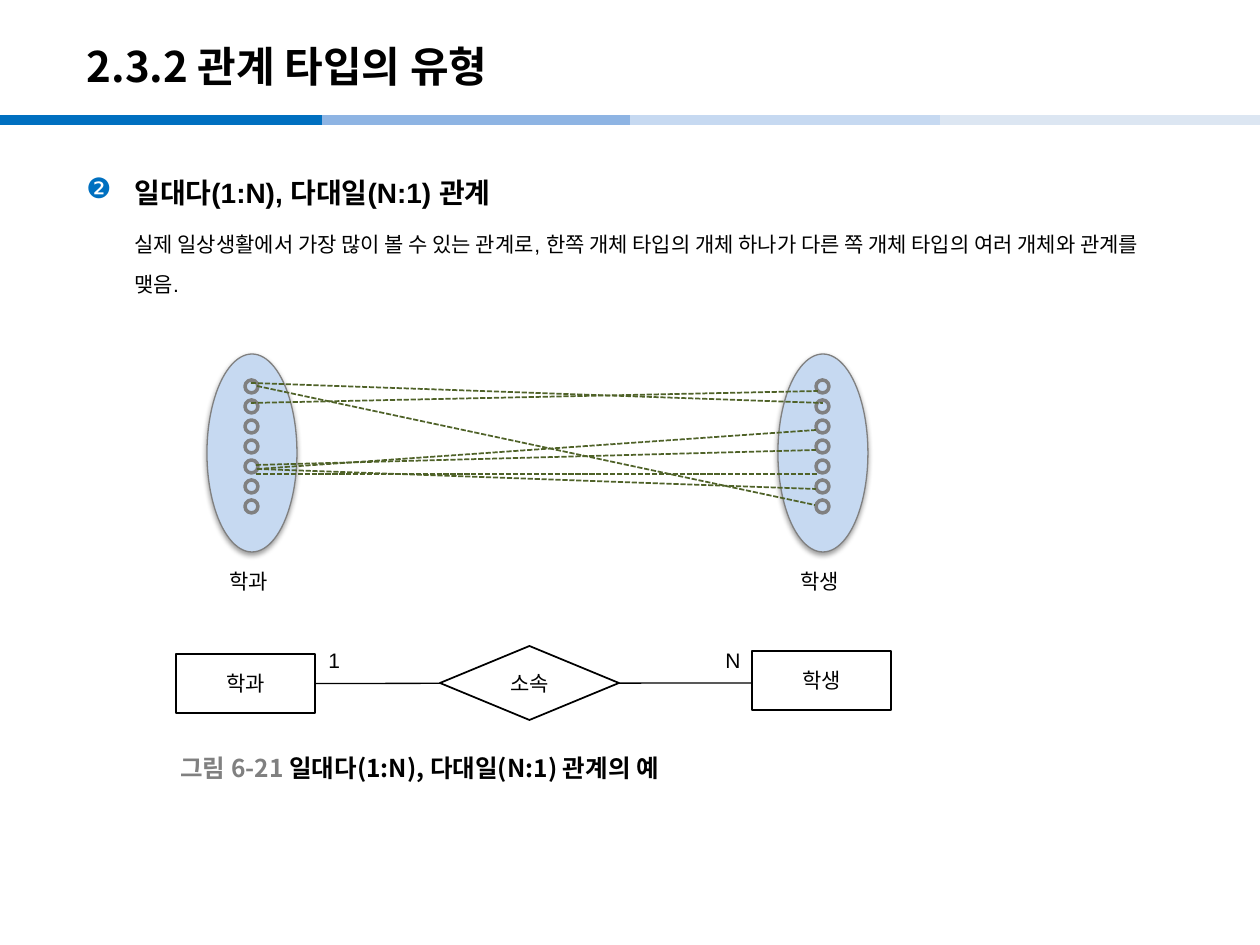
from lxml.etree import SubElement
from pptx import Presentation
from pptx.dml.color import RGBColor
from pptx.enum.dml import MSO_LINE
from pptx.enum.shapes import MSO_CONNECTOR, MSO_SHAPE
from pptx.enum.text import MSO_ANCHOR, MSO_AUTO_SIZE, PP_ALIGN
from pptx.oxml.ns import qn
from pptx.util import Pt

SCALE = 914400 / 126
ARIAL, NOTO = "Arial", "Noto Sans CJK KR"
BLACK, WHITE, GRAY = "000000", "FFFFFF", "808080"
BLUE, PALE, GREEN = "0070C0", "C6D9F1", "4F6228"


def px(*values):
    return [round(v * SCALE) for v in values]


def color(hex_string):
    return RGBColor.from_string(hex_string)


def add_run(p, text, size, font, fill=BLACK, bold=False):
    r = p.add_run()
    r.text = text
    r.font.size = Pt(size)
    r.font.bold = bold
    r.font.name = font
    r.font.color.rgb = color(fill)
    SubElement(r.font._element, qn("a:ea"), typeface=NOTO)


def add_text(s, x, y, w, h, wrap=False):
    sp = s.shapes.add_textbox(*px(x, y, w, h))
    sp.text_frame.word_wrap = wrap
    return sp.text_frame


def add_label(s, x, y, w, text):
    tf = add_text(s, x, y, w, 38)
    tf.auto_size = MSO_AUTO_SIZE.SHAPE_TO_FIT_TEXT
    add_run(tf.paragraphs[0], text, 12, ARIAL)


def add_shape(shapes, kind, x, y, w, h, fill, line, width):
    sp = shapes.add_shape(kind, *px(x, y, w, h))
    sp.shadow.inherit = False
    sp.fill.solid()
    sp.fill.fore_color.rgb = color(fill)
    sp.line.color.rgb = color(line)
    sp.line.width = Pt(width)
    return sp


def add_line(s, x1, y1, x2, y2, line, width):
    cx = s.shapes.add_connector(MSO_CONNECTOR.STRAIGHT, *px(x1, y1, x2, y2))
    cx.line.color.rgb = color(line)
    cx.line.width = Pt(width)
    SubElement(cx._element.spPr, qn("a:effectLst"))
    return cx


def add_shadow(sp):
    effects = sp._element.spPr.find(qn("a:effectLst"))
    shadow = SubElement(effects, qn("a:outerShdw"), blurRad=str(Pt(3.1)), dist=str(Pt(1.6)),
                        dir="5400000", rotWithShape="0")
    clr = SubElement(shadow, qn("a:srgbClr"), val=BLACK)
    SubElement(clr, qn("a:alpha"), val="38000")


def header(s, x, y):
    bars = [(0, 322, BLUE), (322, 645, "8EB4E3"), (630, 952, PALE), (940, 1260, "DCE6F2")]
    for left, right, fill in bars:
        add_line(s, x + left, y + 120, x + right, y + 120, fill, 6)
    title = s.shapes.title
    title.left, title.top, title.width, title.height = px(x + 74, y + 28, 1042, 76)
    tf = title.text_frame
    tf.vertical_anchor = MSO_ANCHOR.MIDDLE
    p = tf.paragraphs[0]
    p.alignment = PP_ALIGN.LEFT
    add_run(p, "2.3.2 관계 타입의 유형", 24, NOTO, bold=True)


def body(s, x, y, w, h):
    tf = add_text(s, x, y, w, h, wrap=True)
    indent = px(48)[0]
    heading = tf.paragraphs[0]
    heading.line_spacing = Pt(30)
    pPr = heading._p.get_or_add_pPr()
    pPr.set("marL", str(indent))
    pPr.set("indent", str(-indent))
    SubElement(SubElement(pPr, qn("a:buClr")), qn("a:srgbClr"), val=BLUE)
    SubElement(pPr, qn("a:buChar"), char="❷")
    add_run(heading, "일대다(1:N), 다대일(N:1) 관계", 16, ARIAL, bold=True)
    p = tf.add_paragraph()
    p.line_spacing = Pt(23)
    p.space_before = Pt(4.5)
    p._p.get_or_add_pPr().set("marL", str(indent))
    add_run(p, "실제 일상생활에서 가장 많이 볼 수 있는 관계로, 한쪽 개체 타입의 개체 하나가 "
               "다른 쪽 개체 타입의 여러 개체와 관계를 맺음.", 12, ARIAL)


def entity_set(s, x, y, name):
    group = s.shapes.add_group_shape()
    oval = add_shape(group.shapes, MSO_SHAPE.OVAL, x, y, 90, 198, PALE, GRAY, 0.75)
    add_shadow(oval)
    for i in range(7):
        add_shape(group.shapes, MSO_SHAPE.FLOWCHART_CONNECTOR, x + 38, y + 26 + 20 * i,
                  13, 13, PALE, GRAY, 2)
    add_label(s, x + 10, y + 208, 68, name)


def mapping(s, x, y):
    entity_set(s, x, y, "학과")
    entity_set(s, x + 571, y, "학생")
    links = [(44, 49, 611, 37), (44, 29, 616, 49), (50, 32, 608, 151), (50, 115, 609, 76),
             (49, 111, 609, 96), (49, 120, 611, 120), (50, 115, 609, 135)]
    for x1, y1, x2, y2 in links:
        cx = add_line(s, x + x1, y + y1, x + x2, y + y2, GREEN, 1)
        cx.line.dash_style = MSO_LINE.SQUARE_DOT


def er_node(s, kind, x, y, w, h, text):
    sp = add_shape(s.shapes, kind, x, y, w, h, WHITE, BLACK, 1)
    tf = sp.text_frame
    tf.vertical_anchor = MSO_ANCHOR.MIDDLE
    p = tf.paragraphs[0]
    p.alignment = PP_ALIGN.CENTER
    add_run(p, text, 12, NOTO)
    return sp


def er_diagram(s, x, y):
    department = er_node(s, MSO_SHAPE.RECTANGLE, x, y + 8, 139, 59, "학과")
    er_node(s, MSO_SHAPE.RECTANGLE, x + 576, y + 5, 139, 59, "학생")
    cx = add_line(s, x + 139, y + 37, x + 576, y + 37, BLACK, 0.75)
    cx.begin_connect(department, 3)
    er_node(s, MSO_SHAPE.FLOWCHART_DECISION, x + 264, y, 179, 74, "소속")
    add_label(s, x + 140, y - 5, 38, "1")
    add_label(s, x + 537, y - 5, 42, "N")


def caption(s, x, y, w, h):
    tf = add_text(s, x, y, w, h)
    tf.vertical_anchor = MSO_ANCHOR.MIDDLE
    p = tf.paragraphs[0]
    add_run(p, "그림 6-21 ", 14, NOTO, GRAY, True)
    add_run(p, "일대다(1:N), 다대일(N:1) 관계의 예", 14, NOTO, bold=True)


def main():
    prs = Presentation()
    prs.slide_width, prs.slide_height = px(1260, 945)
    s = prs.slides.add_slide(prs.slide_layouts[5])
    header(s, 0, 0)
    body(s, 74, 150, 1111, 753)
    mapping(s, 207, 354)
    er_diagram(s, 176, 646)
    caption(s, 168, 748, 540, 39)
    prs.save("out.pptx")


if __name__ == "__main__":
    main()
